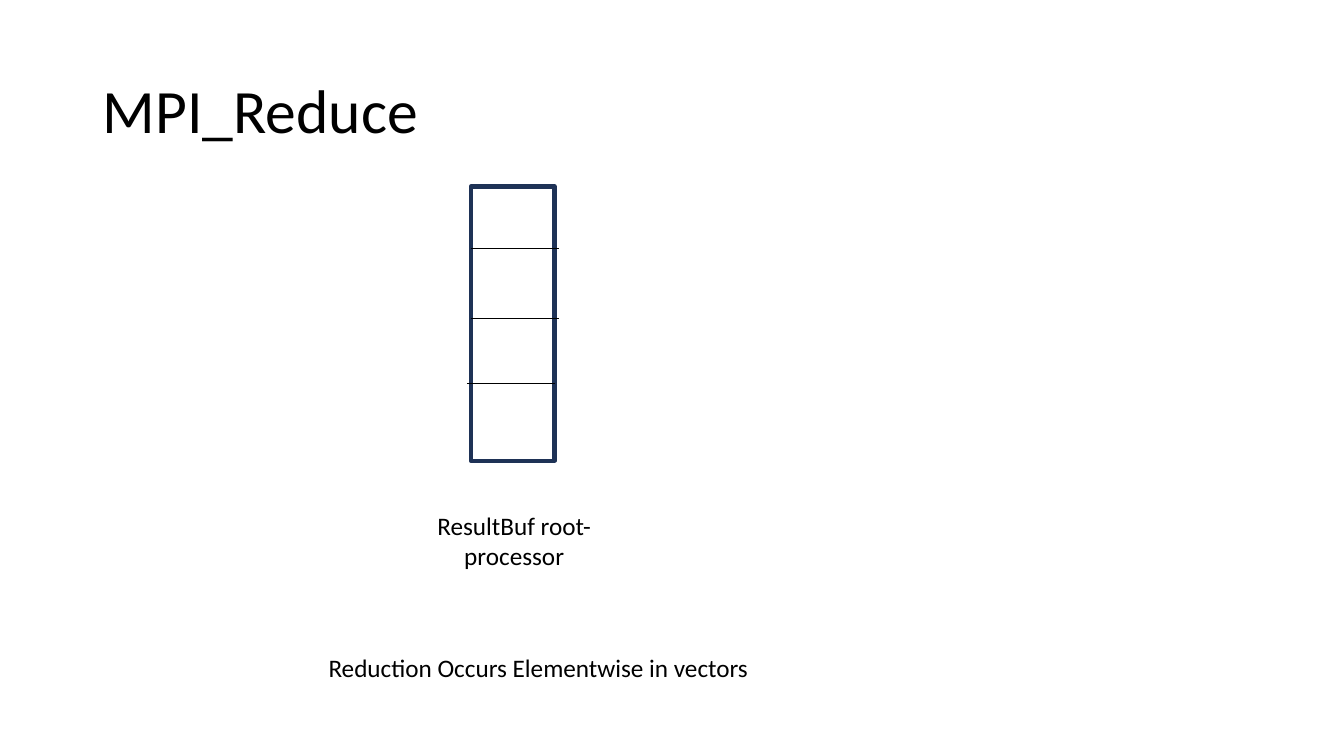
from lxml import etree
from pptx import Presentation
from pptx import util as u
from pptx.dml.color import RGBColor
from pptx.enum import shapes, text
from pptx.oxml.ns import qn

COLOURS = {"text": "000000", "divider": "000000", "buffer": "1E3256"}
FONT = "Calibri"
TITLE = "MPI_Reduce"
TITLE_BOX = (0.92, 0.4, 11.5, 1.45)
BUFFER_BOX = (4.67, 1.85, 0.83, 2.72)
DIVIDER_WIDTH = 0.87
DIVIDERS = [(4.67, 2.46), (4.67, 3.16), (4.63, 3.8)]
LABELS = [
    ("Reduction Occurs Elementwise in vectors", (3.16, 6.42, 4.91, 0.4), text.PP_ALIGN.LEFT),
    ("ResultBuf root-processor", (4.16, 5.01, 1.88, 0.71), text.PP_ALIGN.CENTER),
]


def inches(values):
    return [u.Inches(value) for value in values]


def colour(name):
    return RGBColor.from_string(COLOURS[name])


def write(shape, words, size=18, align=text.PP_ALIGN.LEFT, anchor=text.MSO_ANCHOR.TOP, spacing=1.0):
    frame = shape.text_frame
    frame.word_wrap = True
    frame.vertical_anchor = anchor
    frame.text = words
    paragraph = frame.paragraphs[0]
    paragraph.alignment = align
    paragraph.line_spacing = spacing
    font = paragraph.runs[0].font
    font.name = FONT
    font.size = u.Pt(size)
    font.color.rgb = colour("text")


def draw_buffer(slide):
    group = slide.shapes.add_group_shape()
    buffer = group.shapes.add_shape(shapes.MSO_SHAPE.RECTANGLE, *inches(BUFFER_BOX))
    buffer.shadow.inherit = False
    buffer.fill.background()
    buffer.line.color.rgb = colour("buffer")
    buffer.line.width = u.Pt(3)
    for left, top in DIVIDERS:
        ends = inches((left, top, left + DIVIDER_WIDTH, top))
        divider = group.shapes.add_connector(shapes.MSO_CONNECTOR.STRAIGHT, *ends)
        divider.line.color.rgb = colour("divider")
        divider.line.width = u.Pt(0.5)
        etree.SubElement(divider._element.spPr, qn("a:effectLst"))


def main():
    presentation = Presentation()
    presentation.slide_width = u.Inches(13.33)
    presentation.slide_height = u.Inches(7.5)
    slide = presentation.slides.add_slide(presentation.slide_layouts[5])

    title = slide.shapes.title
    title.left, title.top, title.width, title.height = inches(TITLE_BOX)
    write(title, TITLE, size=44, anchor=text.MSO_ANCHOR.MIDDLE, spacing=0.9)

    draw_buffer(slide)
    for words, box, align in LABELS:
        label = slide.shapes.add_textbox(*inches(box))
        write(label, words, align=align)
        label.text_frame.auto_size = text.MSO_AUTO_SIZE.SHAPE_TO_FIT_TEXT

    presentation.save("out.pptx")


if __name__ == "__main__":
    main()
